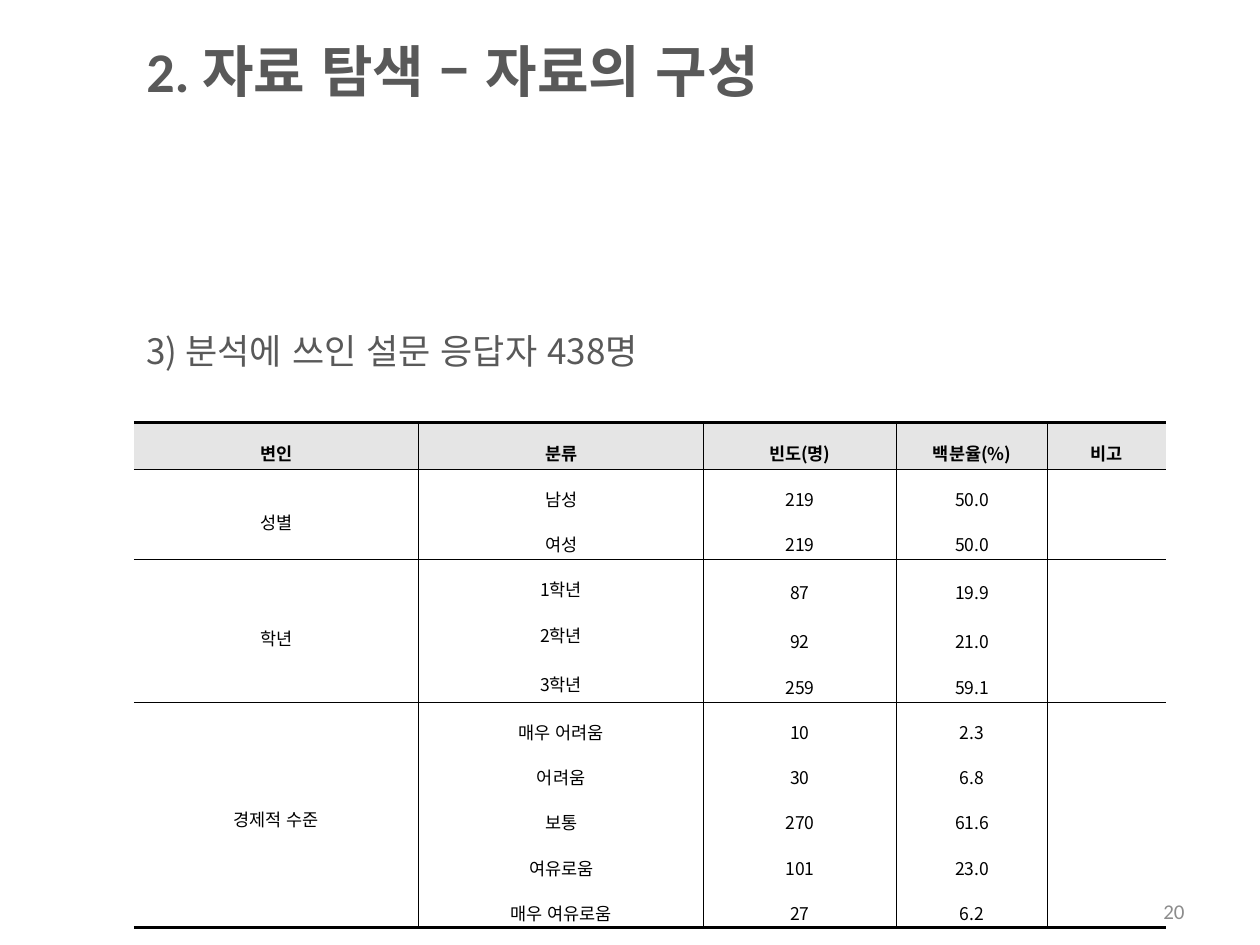
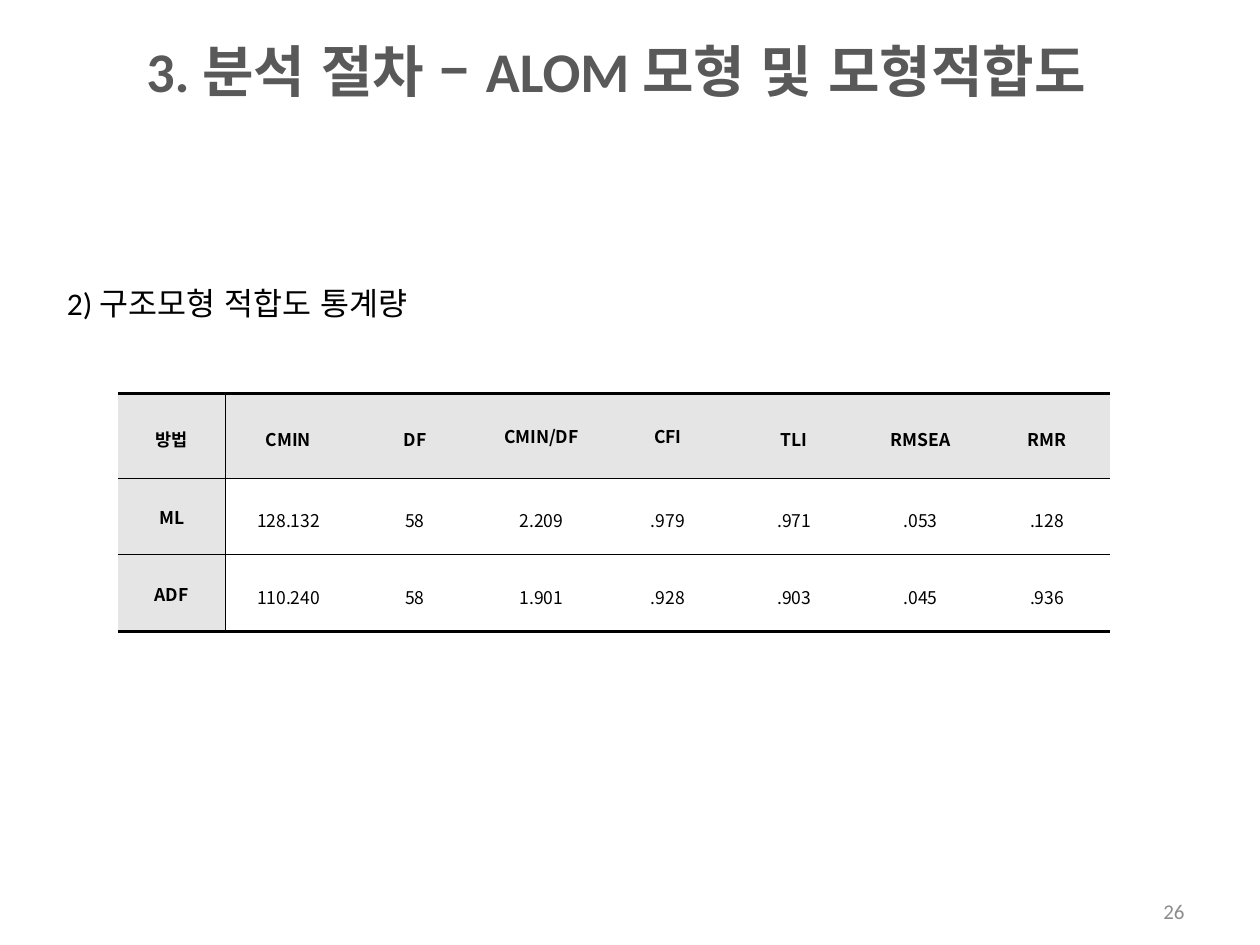
from dataclasses import dataclass, field
from itertools import groupby

from lxml import etree
from pptx import Presentation
from pptx.dml.color import RGBColor
from pptx.enum.lang import MSO_LANGUAGE_ID
from pptx.enum.text import MSO_ANCHOR, PP_ALIGN
from pptx.oxml.ns import qn
from pptx.util import Cm, Pt

MIDDLE, TOP = MSO_ANCHOR.MIDDLE, MSO_ANCHOR.TOP
LEFT, RIGHT, CENTER = PP_ALIGN.LEFT, PP_ALIGN.RIGHT, PP_ALIGN.CENTER
KOREAN = MSO_LANGUAGE_ID.KOREAN


@dataclass(frozen=True)
class Theme:
    latin: str = "Calibri"
    sans: str = "Noto Sans CJK KR"
    heading: str = "595959"
    ink: str = "000000"
    number: str = "8C8C8C"
    shade: str = "E5E5E5"
    title_size: int = 32
    lead_size: int = 20
    sub_size: int = 18
    number_size: int = 12
    cell_size: int = 10


THEME = Theme()


@dataclass(frozen=True)
class TextSpec:
    box: tuple[float, float, float, float]  # left, top, width, height in cm
    size: int
    color: str
    font: str = THEME.latin
    bold: bool = False
    align: PP_ALIGN = LEFT
    anchor: MSO_ANCHOR = TOP


@dataclass(frozen=True)
class TableSpec:
    left: float
    top: float
    cols: list[float]
    rows: list[float]
    cells: list[list[str]]
    h_rules: dict[int, float]  # grid line index -> width in points
    v_rules: dict[int, float]
    spacing: float
    spacing_of: dict[str, float] = field(default_factory=dict)
    merges: list[tuple[int, int, int]] = field(default_factory=list)  # column, first row, last row
    head_cols: int = 0


# Text styles shared by the slides
TITLE = TextSpec((2.7, 0.31, 19.69, 2.21), THEME.title_size, THEME.heading, bold=True, anchor=MIDDLE)
NUMBER = TextSpec((18.21, 18.06, 5.92, 0.61), THEME.number_size, THEME.number, align=RIGHT, anchor=MIDDLE)
LEAD = TextSpec((2.7, 6.52, 13.79, 1.3), THEME.lead_size, THEME.heading, THEME.sans)
SUBHEAD = TextSpec((1.1, 5.61, 8.41, 1.02), THEME.sub_size, THEME.ink)

# Respondents by sex, school year and economic level
ROW, THIN, REST = 0.91, 0.13, 0.8
RESPONDENTS = TableSpec(
    left=2.7, top=8.52,
    cols=[5.74, 5.74, 3.89, 3.05, 2.39],
    rows=[0.93] + [ROW] * 3 + [THIN, REST, THIN] + [ROW] * 6,
    cells=[
        ["변인", "분류", "빈도(명)", "백분율(%)", "비고"],
        ["성별", "남성", "219", "50.0"],
        ["", "여성", "219", "50.0"],
        ["학년", "1학년", "87", "19.9"],
        ["", "2학년"],
        ["", "", "92", "21.0"],
        ["", "3학년"],
        ["", "", "259", "59.1"],
        ["경제적 수준", "매우 어려움", "10", "2.3"],
        ["", "어려움", "30", "6.8"],
        ["", "보통", "270", "61.6"],
        ["", "여유로움", "101", "23.0"],
        ["", "매우 여유로움", "27", "6.2"],
    ],
    h_rules={0: 1.98, 1: 0.25, 3: 0.28, 8: 0.25, 13: 1.98},
    v_rules={line: 0.28 for line in range(1, 5)},
    spacing=1.6,
    spacing_of={"경제적 수준": 1.3},
    merges=[(c, a, b) for c in (0, 4) for a, b in ((1, 2), (3, 7), (8, 12))]
    + [(1, 4, 5), (1, 6, 7)]
    + [(c, a, a + 1) for c in (2, 3) for a in (3, 5)],
)

# Fit statistics by estimation method
FIT = TableSpec(
    left=2.38, top=7.93,
    cols=[2.16] + [2.55] * 7,
    rows=[1.7, 1.55, 1.55],
    cells=[
        ["방법", "CMIN", "DF", "CMIN/DF", "CFI", "TLI", "RMSEA", "RMR"],
        ["ML", "128.132", "58", "2.209", ".979", ".971", ".053", ".128"],
        ["ADF", "110.240", "58", "1.901", ".928", ".903", ".045", ".936"],
    ],
    h_rules={0: 1.7, 1: 0.25, 2: 0.28, 3: 1.7},
    v_rules={1: 0.25},
    spacing=1.3,
    spacing_of={"CMIN/DF": 1.0, "CFI": 1.0, "ML": 1.1, "ADF": 1.1},
    head_cols=1,
)


def style_run(r, size: int, color: str, font: str, bold: bool) -> None:
    r.font.size = Pt(size)
    r.font.bold = bold
    r.font.color.rgb = RGBColor.from_string(color)
    r.font.name = font
    r.font.language_id = KOREAN


def add_text(s, text: str, spec: TextSpec) -> None:
    tf = s.shapes.add_textbox(*map(Cm, spec.box)).text_frame
    tf.word_wrap = True
    tf.vertical_anchor = spec.anchor
    tf.text = text
    p = tf.paragraphs[0]
    p.alignment = spec.align
    style_run(p.runs[0], spec.size, spec.color, spec.font, spec.bold)


def is_korean(ch: str) -> bool:
    return ch == " " or "가" <= ch <= "힣"


def fill_cell(cell, text: str, spacing: float, head: bool) -> None:
    cell.margin_left = cell.margin_right = Cm(0.18)
    cell.margin_top = cell.margin_bottom = Cm(0.05)
    cell.vertical_anchor = MIDDLE
    if head:
        cell.fill.solid()
        cell.fill.fore_color.rgb = RGBColor.from_string(THEME.shade)
    else:
        cell.fill.background()
    p = cell.text_frame.paragraphs[0]
    p.alignment = CENTER
    if not text:
        end = etree.SubElement(p._p, qn("a:endParaRPr"))
        end.set("sz", str(THEME.cell_size * 100))
        return
    p.line_spacing = spacing
    for korean, chars in groupby(text, is_korean):
        r = p.add_run()
        r.text = "".join(chars)
        style_run(r, THEME.cell_size, THEME.ink, THEME.latin if korean else THEME.sans, head)


def set_borders(cell, widths: dict[str, float | None]) -> None:
    tc_pr = cell._tc.get_or_add_tcPr()
    for i, (side, width) in enumerate(widths.items()):
        ln = etree.Element(qn(f"a:ln{side}"))
        if width is None:
            etree.SubElement(ln, qn("a:noFill"))
        else:
            ln.set("w", str(Pt(width)))
            solid = etree.SubElement(ln, qn("a:solidFill"))
            etree.SubElement(solid, qn("a:srgbClr")).set("val", THEME.ink)
        tc_pr.insert(i, ln)


def add_grid(s, spec: TableSpec) -> None:
    table = s.shapes.add_table(
        len(spec.rows), len(spec.cols), Cm(spec.left), Cm(spec.top),
        Cm(sum(spec.cols)), Cm(sum(spec.rows)),
    ).table
    table.first_row = table.horz_banding = False
    for column, width in zip(table.columns, spec.cols):
        column.width = Cm(width)
    for row, height in zip(table.rows, spec.rows):
        row.height = Cm(height)
    for c, first, last in spec.merges:
        table.cell(first, c).merge(table.cell(last, c))
    for r, texts in enumerate(spec.cells):
        for c in range(len(spec.cols)):
            cell = table.cell(r, c)
            text = texts[c] if c < len(texts) else ""
            head = r == 0 or c < spec.head_cols
            fill_cell(cell, text, spec.spacing_of.get(text, spec.spacing), head)
            depth = cell.span_height if cell.is_merge_origin else 1
            set_borders(cell, {
                "L": spec.v_rules.get(c),
                "R": spec.v_rules.get(c + 1),
                "T": spec.h_rules.get(r),
                "B": spec.h_rules.get(r + depth),
            })


def add_page(prs, title: str, number: int, subtitle: str, style: TextSpec, grid: TableSpec) -> None:
    s = prs.slides.add_slide(prs.slide_layouts[6])
    add_text(s, title, TITLE)
    add_text(s, subtitle, style)
    add_text(s, str(number), NUMBER)
    add_grid(s, grid)


def main() -> None:
    prs = Presentation()
    prs.slide_width, prs.slide_height = Cm(25.4), Cm(19.05)
    add_page(prs, "2. 자료 탐색 – 자료의 구성", 20,
             "3) 분석에 쓰인 설문 응답자 438명", LEAD, RESPONDENTS)
    add_page(prs, "3. 분석 절차 – ALOM 모형 및 모형적합도", 26,
             "2) 구조모형 적합도 통계량", SUBHEAD, FIT)
    prs.save("out.pptx")


if __name__ == "__main__":
    main()
